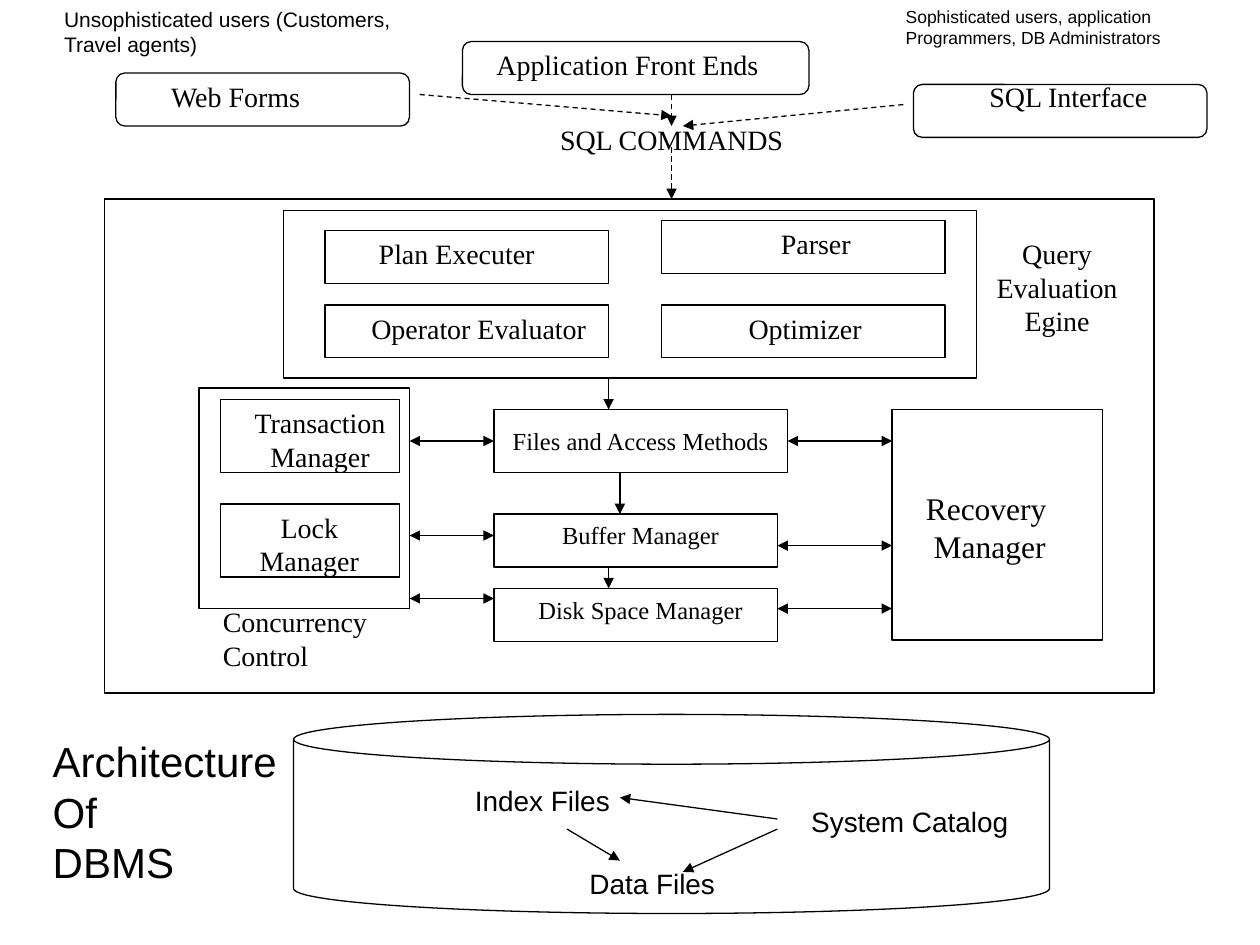
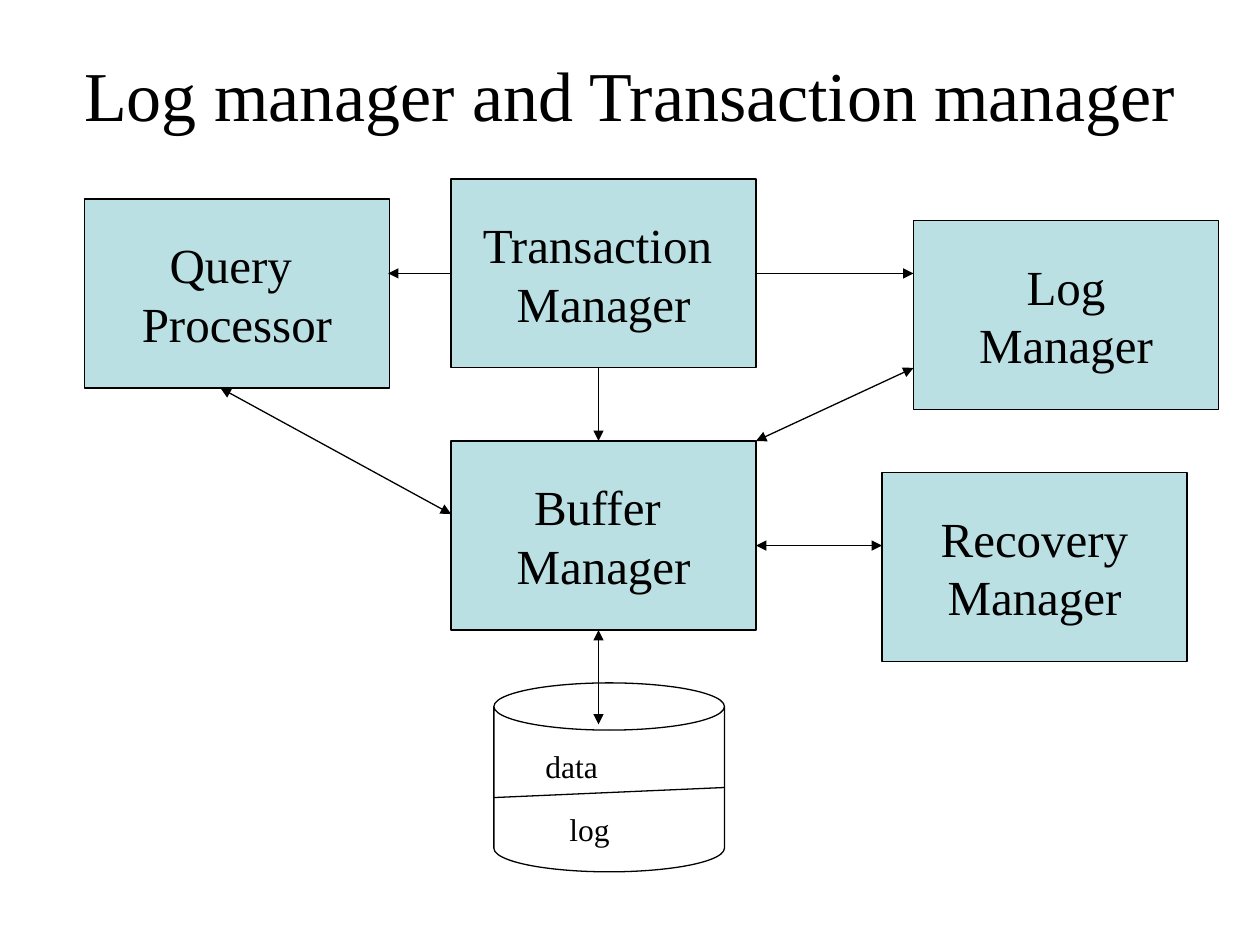
from dataclasses import dataclass

from lxml import etree
from pptx import Presentation
from pptx import util as u
from pptx.dml.color import RGBColor
from pptx.enum import dml, shapes, text
from pptx.oxml.ns import qn
from pptx.slide import Slide
from pptx.text.text import TextFrame

LEFT = text.PP_ALIGN.LEFT
CENTER = text.PP_ALIGN.CENTER
RECT = shapes.MSO_SHAPE.RECTANGLE
ROUNDED = shapes.MSO_SHAPE.ROUNDED_RECTANGLE
CAN = shapes.MSO_SHAPE.CAN


@dataclass(frozen=True)
class Theme:
    ink: RGBColor = RGBColor(0x00, 0x00, 0x00)
    block_fill: RGBColor = RGBColor(0xBB, 0xE0, 0xE3)
    serif: str = "Times New Roman"
    sans: str = "Arial"
    line_width: float = 0.75
    label_slack: float = 0.1
    title: int = 40
    block: int = 28
    heading: int = 24
    large: int = 18
    body: int = 16
    compact: int = 14
    note: int = 12
    small_note: int = 10


THEME = Theme()


@dataclass(frozen=True)
class Box:
    left: float
    top: float
    width: float
    height: float
    kind: shapes.MSO_SHAPE = RECT


@dataclass(frozen=True)
class Label:
    left: float
    top: float
    width: float
    height: float
    words: str
    size: int = THEME.body
    font: str = THEME.serif
    align: text.PP_ALIGN = CENTER


@dataclass(frozen=True)
class Line:
    start: tuple[float, float]
    end: tuple[float, float]
    head: bool = False
    tail: bool = True
    dashed: bool = False


def write(frame: TextFrame, words: str, size: int, font: str,
          align: text.PP_ALIGN) -> None:
    """Put each line of words in a paragraph of its own."""
    for index, row in enumerate(words.split("\n")):
        paragraph = frame.paragraphs[0] if index == 0 else frame.add_paragraph()
        paragraph.alignment = align
        run = paragraph.add_run()
        run.text = row
        run.font.size = u.Pt(size)
        run.font.name = font
        run.font.color.rgb = THEME.ink


def draw_box(slide: Slide, box: Box, words: str = "") -> None:
    """Draw an outline; with words it becomes a filled block."""
    shape = slide.shapes.add_shape(
        box.kind, u.Inches(box.left), u.Inches(box.top),
        u.Inches(box.width), u.Inches(box.height))
    shape.shadow.inherit = False
    shape.line.color.rgb = THEME.ink
    shape.line.width = u.Pt(THEME.line_width)
    if not words:
        shape.fill.background()
        return
    shape.fill.solid()
    shape.fill.fore_color.rgb = THEME.block_fill
    frame = shape.text_frame
    frame.word_wrap = False
    frame.vertical_anchor = text.MSO_ANCHOR.MIDDLE
    write(frame, words, THEME.block, THEME.serif, CENTER)


def draw_label(slide: Slide, label: Label) -> None:
    """Draw text with slack in the width, so that tight lines do not break."""
    slack = THEME.label_slack
    left = label.left - slack / 2 if label.align == CENTER else label.left
    frame = slide.shapes.add_textbox(
        u.Inches(left), u.Inches(label.top),
        u.Inches(label.width + slack), u.Inches(label.height)).text_frame
    frame.word_wrap = True
    frame.auto_size = text.MSO_AUTO_SIZE.SHAPE_TO_FIT_TEXT
    write(frame, label.words, label.size, label.font, label.align)


def draw_title(slide: Slide, words: str) -> None:
    frame = slide.shapes.add_textbox(
        u.Inches(0.5), u.Inches(0.33), u.Inches(9), u.Inches(0.83)).text_frame
    frame.word_wrap = True
    frame.vertical_anchor = text.MSO_ANCHOR.MIDDLE
    write(frame, words, THEME.title, THEME.serif, CENTER)


def draw_line(slide: Slide, line: Line) -> None:
    (x1, y1), (x2, y2) = line.start, line.end
    connector = slide.shapes.add_connector(
        shapes.MSO_CONNECTOR.STRAIGHT,
        u.Inches(x1), u.Inches(y1), u.Inches(x2), u.Inches(y2))
    connector.line.color.rgb = THEME.ink
    connector.line.width = u.Pt(THEME.line_width)
    if line.dashed:
        connector.line.dash_style = dml.MSO_LINE.DASH
    properties = connector.element.spPr
    outline = properties.find(qn("a:ln"))
    for tag, wanted in (("a:headEnd", line.head), ("a:tailEnd", line.tail)):
        if wanted:
            etree.SubElement(outline, qn(tag), type="triangle")
    etree.SubElement(properties, qn("a:effectLst"))


def build_architecture(slide: Slide) -> None:
    server = Box(0.83, 1.58, 8.33, 3.92)
    storage = Box(2.33, 5.67, 6, 1.58, CAN)
    query_engine = Box(2.25, 1.67, 5.5, 1.33)
    engine_parts = [Box(left, top, 2.25, 0.42) for left, top in
                    ((2.58, 1.83), (5.25, 1.75), (2.58, 2.42), (5.25, 2.42))]
    concurrency = Box(1.58, 3.08, 1.67, 1.75)
    concurrency_parts = [Box(1.75, top, 1.42, 0.58) for top in (3.17, 4)]
    recovery = Box(7.08, 3.25, 1.67, 1.83)
    files = Box(3.92, 3.25, 2.33, 0.5)
    managers = [Box(3.92, top, 2.25, 0.42) for top in (4.08, 4.67)]
    front_ends = [Box(left, top, width, 0.42, ROUNDED) for left, top, width in
                  ((0.92, 0.58, 2.33), (3.67, 0.33, 2.75), (7.25, 0.67, 2.33))]
    for box in (server, storage, query_engine, *engine_parts, concurrency,
                *concurrency_parts, recovery, files, *managers, *front_ends):
        draw_box(slide, box)

    sans = THEME.sans
    labels = (
        Label(0.41, 0, 2.79, 0.5,
              "Unsophisticated users (Customers,\nTravel agents)",
              THEME.note, sans, LEFT),
        Label(7.09, 0, 2.23, 0.44,
              "Sophisticated users, application\nProgrammers, DB Administrators",
              THEME.small_note, sans, LEFT),
        Label(1.25, 0.58, 1.24, 0.37, "Web Forms"),
        Label(3.84, 0.33, 2.28, 0.37, "Application Front Ends"),
        Label(7.75, 0.58, 1.46, 0.37, "SQL Interface"),
        Label(4.34, 0.92, 1.98, 0.37, "SQL COMMANDS"),
        Label(2.91, 1.83, 1.43, 0.37, "Plan Executer"),
        Label(6.1, 1.75, 0.75, 0.37, "Parser"),
        Label(2.85, 2.42, 1.9, 0.37, "Operator Evaluator"),
        Label(5.84, 2.42, 1.1, 0.37, "Optimizer"),
        Label(7.81, 1.83, 1.16, 0.9, "Query\nEvaluation\nEgine"),
        Label(1.92, 3.17, 1.24, 0.64, "Transaction\nManager"),
        Label(1.83, 4, 1.25, 0.64, "Lock\nManager"),
        Label(1.67, 4.75, 1.5, 0.64, "Concurrency Control", align=LEFT),
        Label(3.92, 3.33, 2.33, 0.34, "Files and Access Methods", THEME.compact),
        Label(4, 4.08, 2.17, 0.34, "Buffer Manager", THEME.compact),
        Label(4, 4.67, 2.17, 0.34, "Disk Space Manager", THEME.compact),
        Label(7.25, 3.83, 1.5, 0.7, "Recovery\n Manager", THEME.large, align=LEFT),
        Label(3.67, 6.17, 1.27, 0.37, "Index Files", font=sans, align=LEFT),
        Label(4.58, 6.83, 1.33, 0.37, "Data Files", font=sans, align=LEFT),
        Label(6.34, 6.34, 1.76, 0.37, "System Catalog", font=sans, align=LEFT),
        Label(0.32, 5.79, 1.98, 1.3, "Architecture\nOf\nDBMS",
              THEME.heading, sans, LEFT),
    )
    for label in labels:
        draw_label(slide, label)

    commands = [Line(start, end, dashed=True) for start, end in (
        ((5.33, 0.75), (5.33, 1)), ((7.17, 0.83), (5.42, 1)),
        ((3.33, 0.75), (5.33, 0.92)), ((5.33, 1.17), (5.33, 1.58)))]
    to_concurrency = [Line((3.25, y), (3.92, y), head=True)
                      for y in (3.5, 4.25, 4.75)]
    to_recovery = [Line((x, y), (7.08, y), head=True)
                   for x, y in ((6.25, 3.5), (6.17, 4.33), (6.17, 4.83))]
    downward = [Line((x, top), (x, bottom)) for x, top, bottom in
                ((4.83, 3, 3.25), (4.92, 3.75, 4.08), (4.83, 4.5, 4.67))]
    catalog = [Line(start, end) for start, end in (
        ((4.5, 6.58), (4.92, 6.83)), ((6.17, 6.5), (4.92, 6.33)),
        ((6.17, 6.58), (5.42, 6.92)))]
    for line in (*commands, *to_concurrency, *to_recovery, *downward, *catalog):
        draw_line(slide, line)


def build_managers(slide: Slide) -> None:
    draw_title(slide, "Log manager and Transaction manager")
    draw_box(slide, Box(3.92, 5.42, 1.83, 1.5, CAN))
    for label in (Label(4.23, 5.88, 0.61, 0.4, "data", THEME.large, align=LEFT),
                  Label(4.42, 6.38, 0.75, 0.4, "log", THEME.large, align=LEFT)):
        draw_label(slide, label)

    for left, top, words in ((3.58, 3.5, "Buffer \nManager"),
                             (3.58, 1.42, "Transaction \nManager"),
                             (0.67, 1.58, "Query \nProcessor"),
                             (7.25, 1.75, "Log\nManager"),
                             (7, 3.75, "Recovery\nManager")):
        draw_box(slide, Box(left, top, 2.42, 1.5), words)

    for line in (Line((3.92, 6.33), (5.75, 6.25), tail=False),
                 Line((4.75, 5), (4.75, 5.75), head=True),
                 Line((6, 4.33), (7, 4.33), head=True),
                 Line((7.25, 2.92), (6, 3.5), head=True),
                 Line((1.75, 3.08), (3.58, 4.08), head=True),
                 Line((4.75, 2.92), (4.75, 3.5)),
                 Line((3.58, 2.17), (3.08, 2.17)),
                 Line((6, 2.17), (7.25, 2.17))):
        draw_line(slide, line)


def main() -> None:
    presentation = Presentation()
    presentation.slide_width = u.Inches(10)
    presentation.slide_height = u.Inches(7.5)
    blank = presentation.slide_layouts[6]
    for build in (build_architecture, build_managers):
        build(presentation.slides.add_slide(blank))
    presentation.save("out.pptx")


if __name__ == "__main__":
    main()
